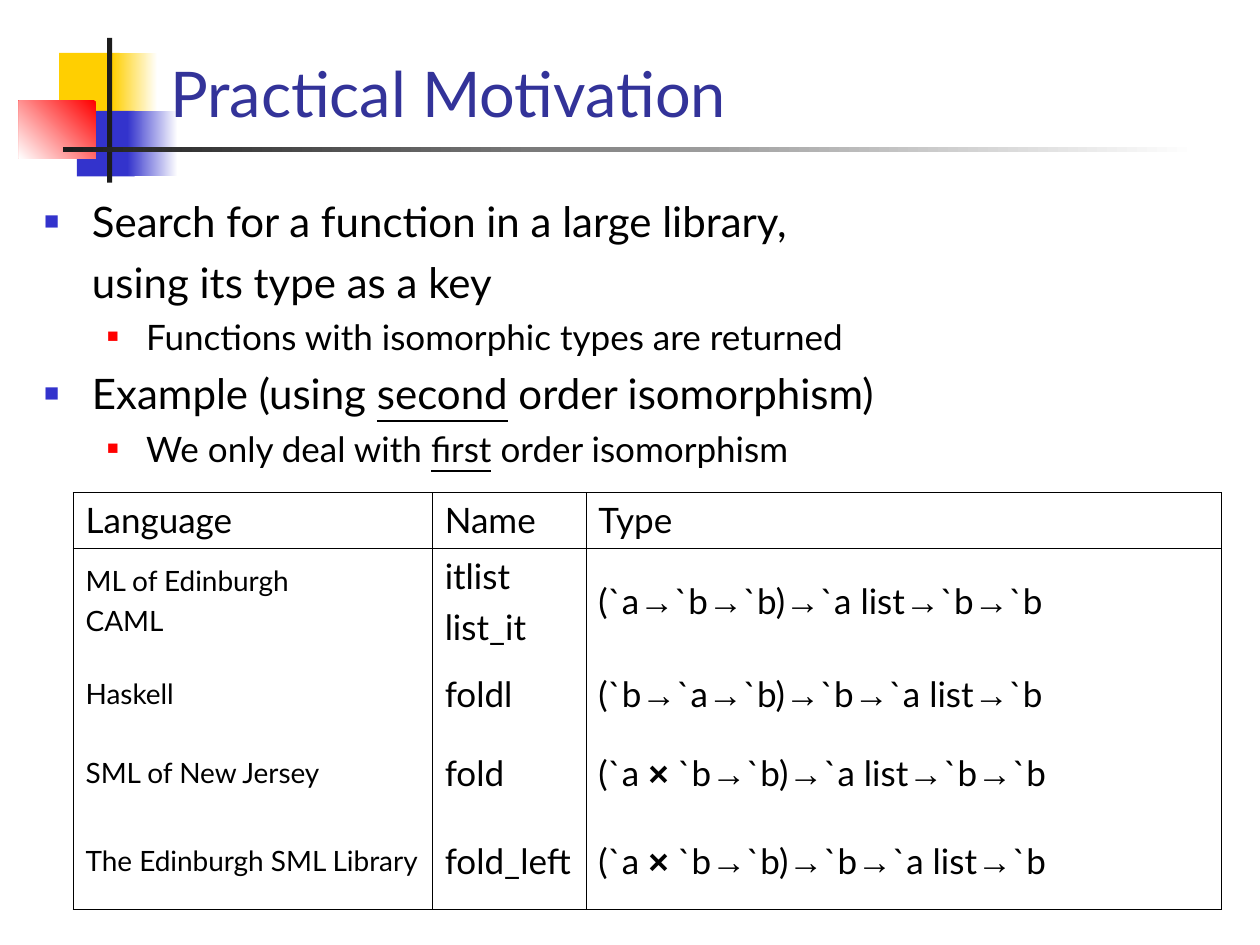
import itertools
import pptx
import pptx.dml.color
import pptx.enum.shapes
import pptx.enum.text
import pptx.oxml
import pptx.oxml.ns
import pptx.util

RGB = pptx.dml.color.RGBColor
ANCHOR = pptx.enum.text.MSO_ANCHOR
INCH = pptx.util.Inches
PT = pptx.util.Pt

BLACK = RGB(0x00, 0x00, 0x00)
WHITE = RGB(0xFF, 0xFF, 0xFF)
GOLD = RGB(0xFF, 0xCF, 0x01)
BLUE = RGB(0x33, 0x33, 0xCC)
NAVY = RGB(0x33, 0x33, 0x99)
RED = RGB(0xFF, 0x00, 0x00)
DARK = RGB(0x1C, 0x1C, 0x1C)

WIDE, HIGH = 10, 7.5
FONT, SIGN = "Lato", "Arial"
COLS = [2.85, 1.22, 5.04]
ROWS = [0.44, 0.84, 0.63, 0.63, 0.77]

DECOR = [
    ((0.47, 0.42, 0.48, 0.52), [GOLD], 0),
    ((0.89, 0.42, 0.36, 0.52), [WHITE, GOLD], 180),
    ((0.61, 0.88, 0.46, 0.52), [BLUE], 0),
    ((1.01, 0.88, 0.4, 0.52), [WHITE, BLUE], 180),
    ((0.15, 0.8, 0.61, 0.46), [RED, WHITE], 225),
    ((0.85, 0.3, 0.04, 1.15), [DARK], 0),
    ((0.5, 1.17, 9, 0.04), [WHITE, DARK], 180),
]
POINTS = [
    (0, True, "Search for a function in a large library,"),
    (0, False, "using its type as a key"),
    (1, True, "Functions with isomorphic types are returned"),
    (0, True, "Example (using *second* order isomorphism)"),
    (1, True, "We only deal with *first* order isomorphism"),
]
LEVELS = [
    dict(size=24, gap=6, left=0.38, hang=0.38, hue=BLUE, share=60),
    dict(size=20, gap=5, left=0.81, hang=0.31, hue=RED, share=55),
]
CELLS = [
    ["Language", "Name", "Type"],
    ["ML of Edinburgh\nCAML", "itlist\nlist_it", "(`a→`b→`b)→`a list→`b→`b"],
    ["Haskell", "foldl", "(`b→`a→`b)→`b→`a list→`b"],
    ["SML of New Jersey", "fold", "(`a × `b→`b)→`a list→`b→`b"],
    ["The Edinburgh SML Library", "fold_left", "(`a × `b→`b)→`b→`a list→`b"],
]


def node(text):
    space = pptx.oxml.ns.nsdecls("a")
    return pptx.oxml.parse_xml(text.replace("NS", space, 1))


def place(shape, box):
    shape.left, shape.top, shape.width, shape.height = map(INCH, box)


def add_run(para, text, size, hue=BLACK, name=FONT):
    run = para.add_run()
    run.text = text
    run.font.size = PT(size)
    run.font.name = name
    run.font.color.rgb = hue
    return run


def add_block(slide, box, hues, angle):
    kind = pptx.enum.shapes.MSO_SHAPE.RECTANGLE
    block = slide.shapes.add_shape(kind, *map(INCH, box))
    block.shadow.inherit = False
    block.line.fill.background()
    if len(hues) == 1:
        block.fill.solid()
        block.fill.fore_color.rgb = hues[0]
        return
    block.fill.gradient()
    block.fill.gradient_angle = angle
    for share, (stop, hue) in enumerate(zip(block.fill.gradient_stops, hues)):
        stop.position = share
        stop.color.rgb = hue


def fill_title(slide):
    title = slide.shapes.title
    place(title, (1.25, 0.25, 8.42, 0.83))
    frame = title.text_frame
    frame.auto_size = pptx.enum.text.MSO_AUTO_SIZE.NONE
    frame.vertical_anchor = ANCHOR.BOTTOM
    para = frame.paragraphs[0]
    para.alignment = pptx.enum.text.PP_ALIGN.LEFT
    add_run(para, "Practical Motivation", 36, NAVY)
    slide.shapes._spTree.append(title._element)


def set_bullet(para, level, shown):
    props = para._p.get_or_add_pPr()
    props.set("marL", str(INCH(level["left"])))
    props.set("indent", str(-INCH(level["hang"]) if shown else 0))
    if not shown:
        props.append(node("<a:buNone NS/>"))
        return
    props.append(node(f'<a:buClr NS><a:srgbClr val="{level["hue"]}"/></a:buClr>'))
    props.append(node(f'<a:buSzPct NS val="{level["share"] * 1000}"/>'))
    props.append(node('<a:buFont NS typeface="Arial"/>'))
    props.append(node('<a:buChar NS char="■"/>'))


def fill_list(slide):
    body = slide.placeholders[1]
    place(body, (0.25, 1.5, 9.42, 5.42))
    frame = body.text_frame
    frame.auto_size = pptx.enum.text.MSO_AUTO_SIZE.NONE
    for index, (depth, shown, text) in enumerate(POINTS):
        para = frame.add_paragraph() if index else frame.paragraphs[0]
        level = LEVELS[depth]
        para.level = depth
        para.space_before = PT(level["gap"])
        set_bullet(para, level, shown)
        for turn, part in enumerate(text.split("*")):
            run = add_run(para, part, level["size"])
            run.font.underline = turn % 2 == 1
    slide.shapes._spTree.append(body._element)


def set_edges(cell, sides):
    props = cell._tc.get_or_add_tcPr()
    for index, side in enumerate("LRTB"):
        if side in sides:
            ink = f'<a:solidFill><a:srgbClr val="{BLACK}"/></a:solidFill>'
        else:
            ink = "<a:noFill/>"
        props.insert(index, node(f'<a:ln{side} NS w="{PT(0.45)}">{ink}</a:ln{side}>'))


def fill_cell(cell, text, size, gap):
    frame = cell.text_frame
    frame.text = text
    for para in frame.paragraphs:
        line = para.text
        para.clear()
        para.space_before = PT(gap)
        for sign, part in itertools.groupby(line, lambda mark: mark if mark in "→×" else ""):
            run = add_run(para, "".join(part), size, name=SIGN if sign else FONT)
            run.font.bold = sign == "×"


def add_grid(slide):
    box = map(INCH, (0.58, 3.91, sum(COLS), sum(ROWS)))
    table = slide.shapes.add_table(len(ROWS), len(COLS), *box).table
    table.first_row = table.horz_banding = False
    for col, width in zip(table.columns, COLS):
        col.width = INCH(width)
    for row, height in zip(table.rows, ROWS):
        row.height = INCH(height)
    for down, texts in enumerate(CELLS):
        sides = "LR" + ("T" if down < 2 else "") + ("B" if down in (0, len(ROWS) - 1) else "")
        for across, text in enumerate(texts):
            cell = table.cell(down, across)
            small = down > 0 and across == 0
            fill_cell(cell, text, 16 if small else 20, 4 if small else 5)
            cell.vertical_anchor = ANCHOR.MIDDLE if down else ANCHOR.TOP
            cell.fill.background()
            set_edges(cell, sides)


def main():
    deck = pptx.Presentation()
    deck.slide_width, deck.slide_height = INCH(WIDE), INCH(HIGH)
    slide = deck.slides.add_slide(deck.slide_layouts[1])
    for box, hues, angle in DECOR:
        add_block(slide, box, hues, angle)
    fill_title(slide)
    fill_list(slide)
    add_grid(slide)
    deck.save("out.pptx")


if __name__ == "__main__":
    main()
